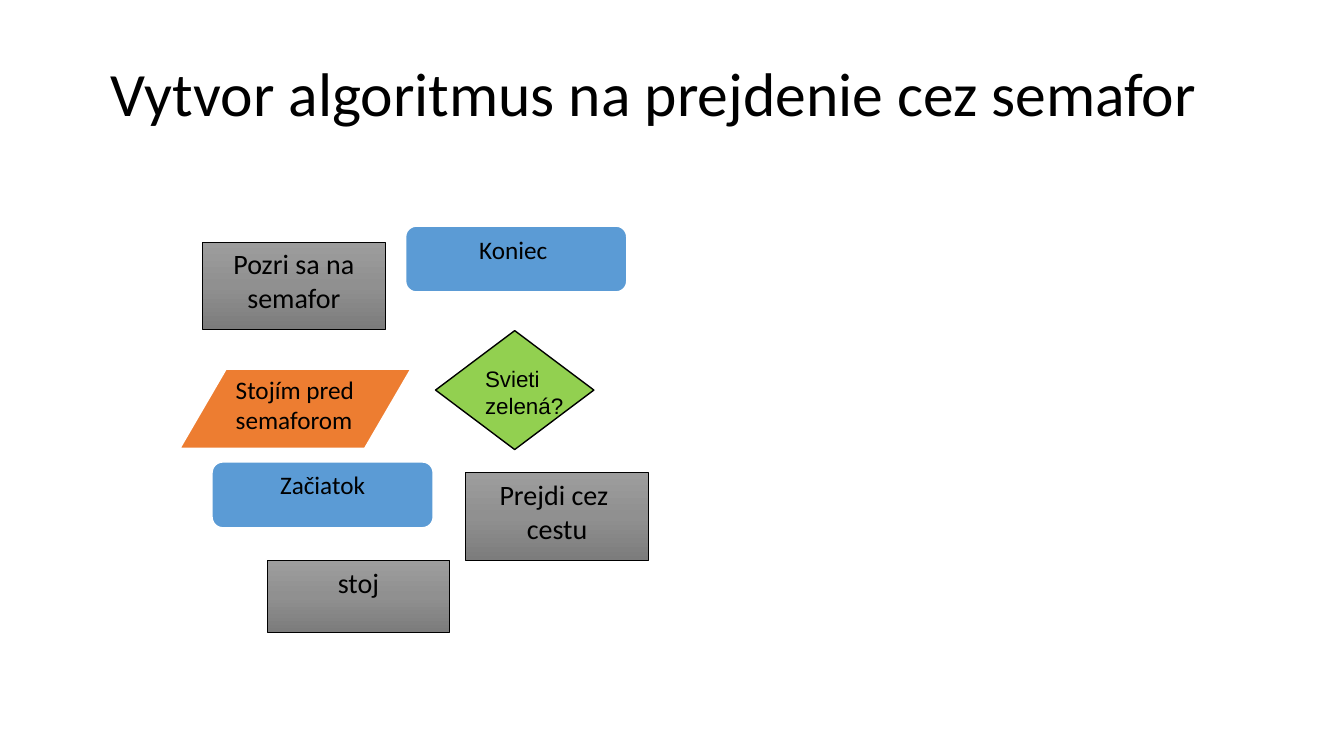
import copy
from dataclasses import dataclass

import pptx
import pptx.dml.color
import pptx.enum.shapes
import pptx.enum.text
import pptx.oxml.ns
import pptx.util

SHAPE = pptx.enum.shapes.MSO_SHAPE
ALIGN = pptx.enum.text.PP_ALIGN
ANCHOR = pptx.enum.text.MSO_ANCHOR
PX = 9144


@dataclass(frozen=True)
class Theme:
    ink: str = "000000"
    paper: str = "FFFFFF"
    terminal: str = "5B9BD5"
    situation: str = "ED7D31"
    decision: str = "92D050"
    action: tuple = ((0, "9D9D9D"), (0.5, "909090"), (1, "7C7C7C"))
    font: str = "Calibri"
    decision_font: str = "Arial"
    title_size: int = 44
    action_size: int = 20
    label_size: int = 18
    decision_size: int = 16


def color(code):
    return pptx.dml.color.RGBColor.from_string(code)


class Flowchart:
    def __init__(self, page, theme):
        self.page = page
        self.theme = theme

    def add_lines(self, frame, lines, size, font, align):
        for index, line in enumerate(lines):
            para = frame.paragraphs[0] if index == 0 else frame.add_paragraph()
            para.alignment = align
            span = para.add_run()
            span.text = line
            span.font.size = pptx.util.Pt(size)
            span.font.name = font
            span.font.color.rgb = color(self.theme.ink)

    def title(self, text, left, top, width, height):
        box = self.page.shapes.add_textbox(left * PX, top * PX, width * PX, height * PX)
        frame = box.text_frame
        frame.word_wrap = True
        frame.vertical_anchor = ANCHOR.MIDDLE
        self.add_lines(frame, [text], self.theme.title_size, self.theme.font, ALIGN.LEFT)
        frame.paragraphs[0].line_spacing = 0.9

    def gradient(self, shape, stops):
        shape.fill.gradient()
        shape.fill.gradient_angle = 270
        stop_list = shape._element.spPr.find(".//" + pptx.oxml.ns.qn("a:gsLst"))
        stop_list.append(copy.deepcopy(stop_list[0]))
        for stop, (position, code) in zip(shape.fill.gradient_stops, stops):
            stop.position = position
            stop.color.rgb = color(code)

    def block(self, kind, place, lines, fill, edge, weight, size, font, align):
        shape = self.page.shapes.add_shape(kind, *(length * PX for length in place))
        shape.shadow.inherit = False
        if isinstance(fill, tuple):
            self.gradient(shape, fill)
        else:
            shape.fill.solid()
            shape.fill.fore_color.rgb = color(fill)
        shape.line.color.rgb = color(edge)
        shape.line.width = pptx.util.Pt(weight)
        frame = shape.text_frame
        frame.word_wrap = False
        frame.vertical_anchor = ANCHOR.TOP
        self.add_lines(frame, lines, size, font, align)

    def terminal(self, left, top, text):
        style = self.theme
        self.block(SHAPE.ROUNDED_RECTANGLE, (left, top, 220, 66), [text], style.terminal,
                   style.paper, 1.5, style.label_size, style.font, ALIGN.CENTER)

    def situation(self, left, top, lines):
        style = self.theme
        self.block(SHAPE.FLOWCHART_DATA, (left, top, 230, 79), lines, style.situation,
                   style.paper, 1.5, style.label_size, style.font, ALIGN.LEFT)

    def action(self, left, top, lines, height=87):
        style = self.theme
        self.block(SHAPE.RECTANGLE, (left, top, 181, height), lines, style.action,
                   style.ink, 0.5, style.action_size, style.font, ALIGN.CENTER)

    def decision(self, left, top, lines):
        style = self.theme
        self.block(SHAPE.FLOWCHART_DECISION, (left, top, 157, 118), lines, style.decision,
                   style.ink, 1, style.decision_size, style.decision_font, ALIGN.LEFT)


def main():
    deck = pptx.Presentation()
    deck.slide_width = 1333 * PX
    deck.slide_height = 750 * PX
    page = deck.slides.add_slide(deck.slide_layouts[6])
    chart = Flowchart(page, Theme())
    chart.title("Vytvor algoritmus na prejdenie cez semafor", 100, 25, 1133, 142)
    chart.terminal(210, 458, "Začiatok")
    chart.situation(178, 366, ["Stojím pred", "semaforom"])
    chart.action(201, 240, ["Pozri sa na", "semafor"])
    chart.decision(432, 328, ["Svieti", "zelená?"])
    chart.action(462, 469, ["Prejdi cez ", "cestu"])
    chart.action(265, 556, ["stoj"], height=71)
    chart.terminal(402, 224, "Koniec ")
    deck.save("out.pptx")


if __name__ == "__main__":
    main()
